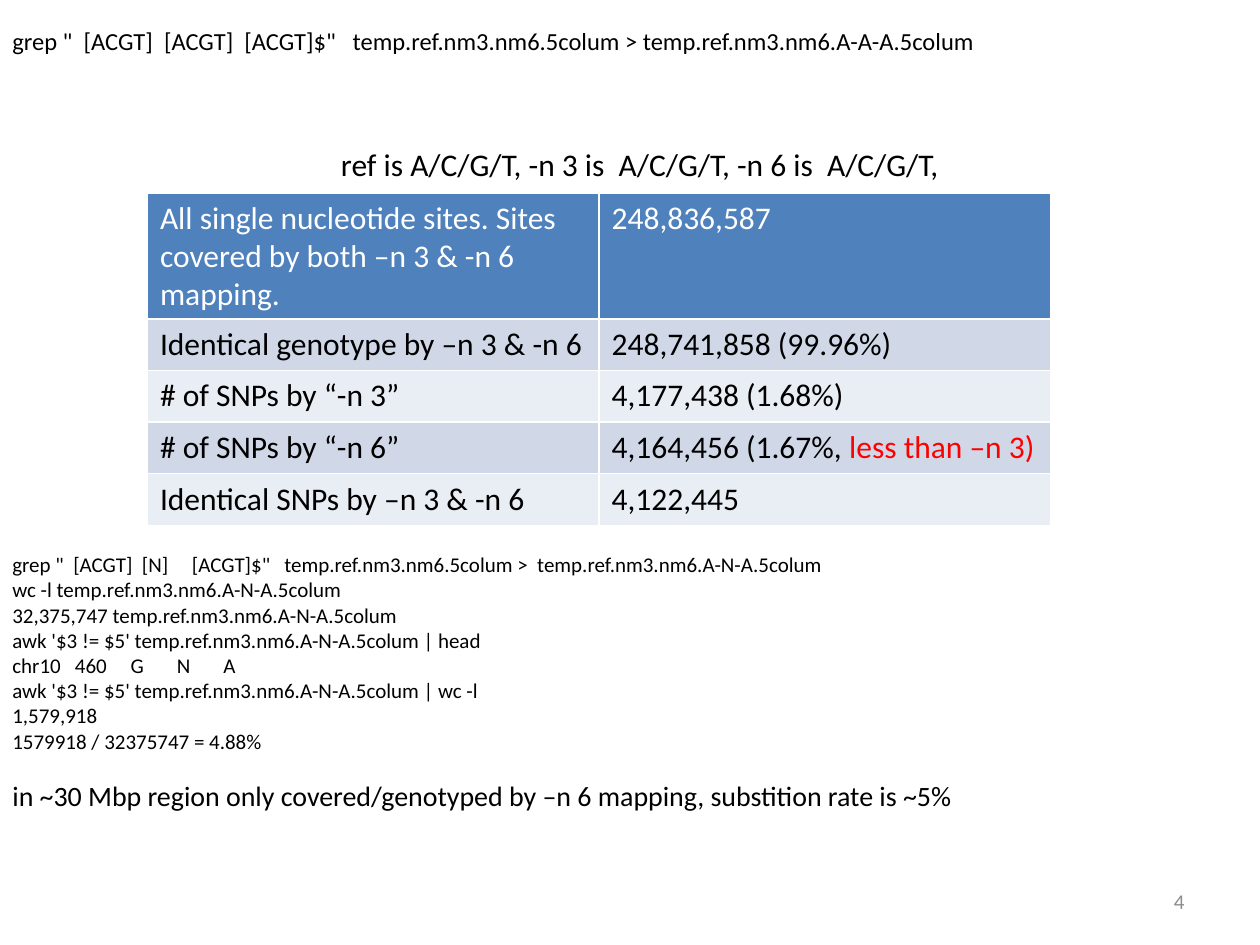
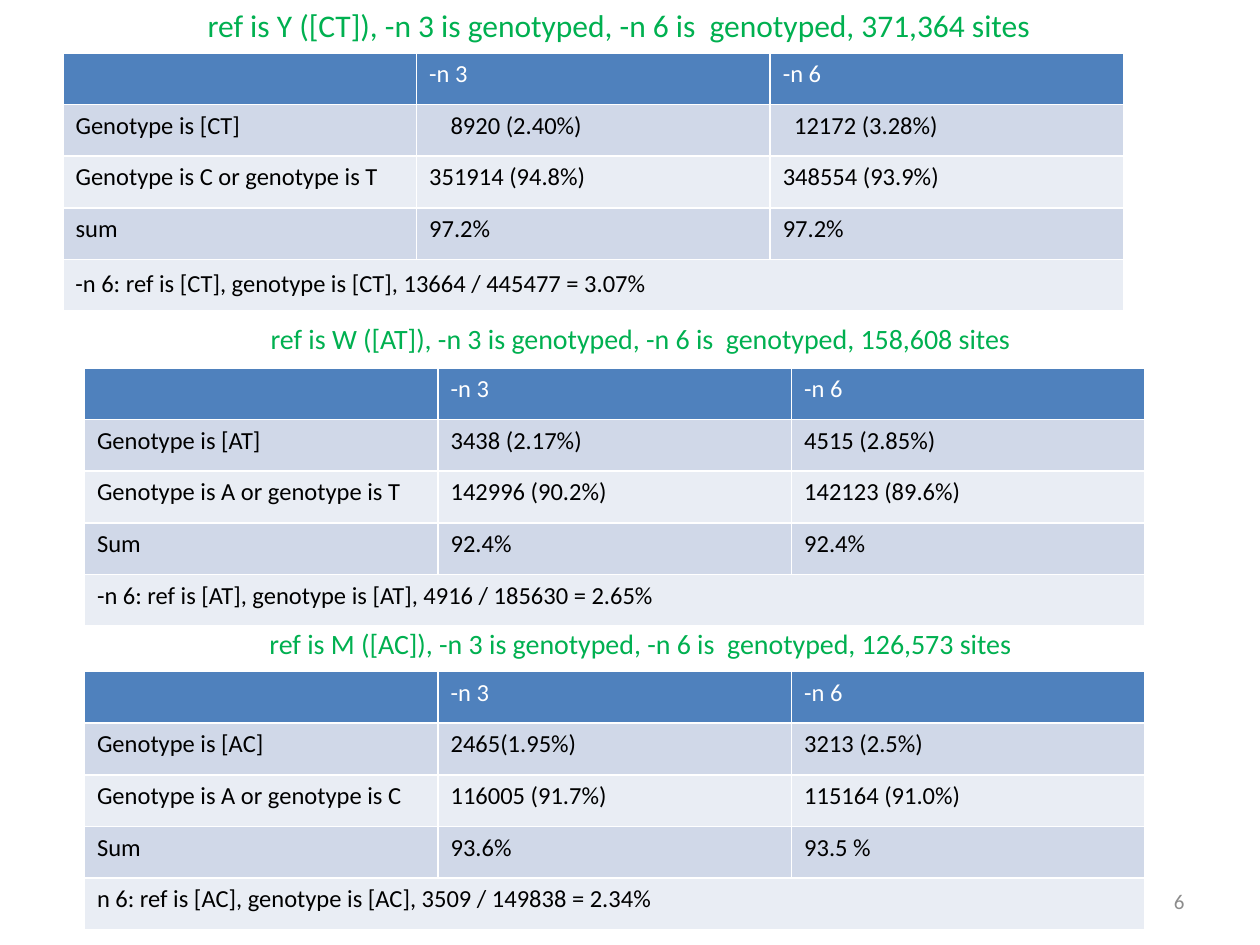
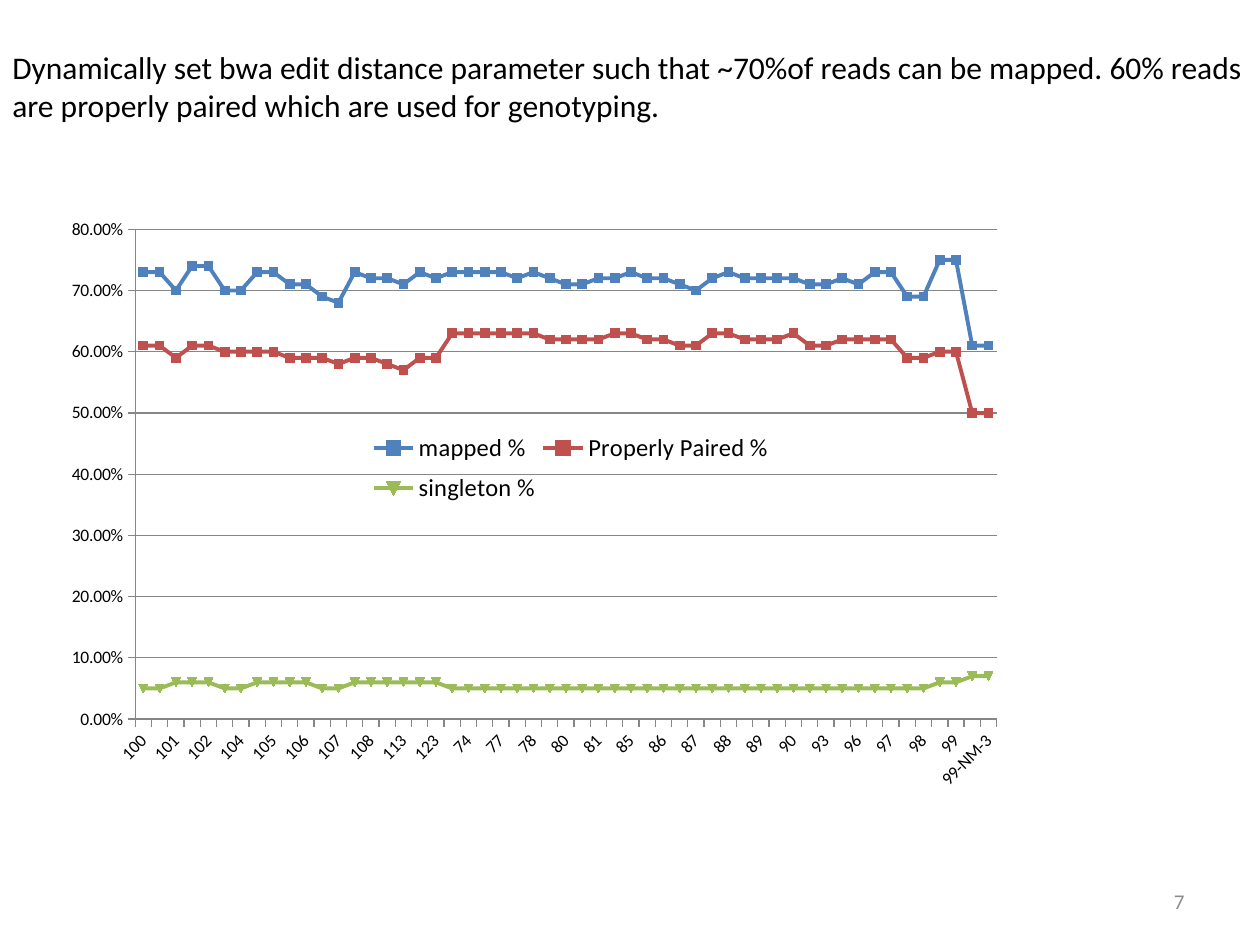
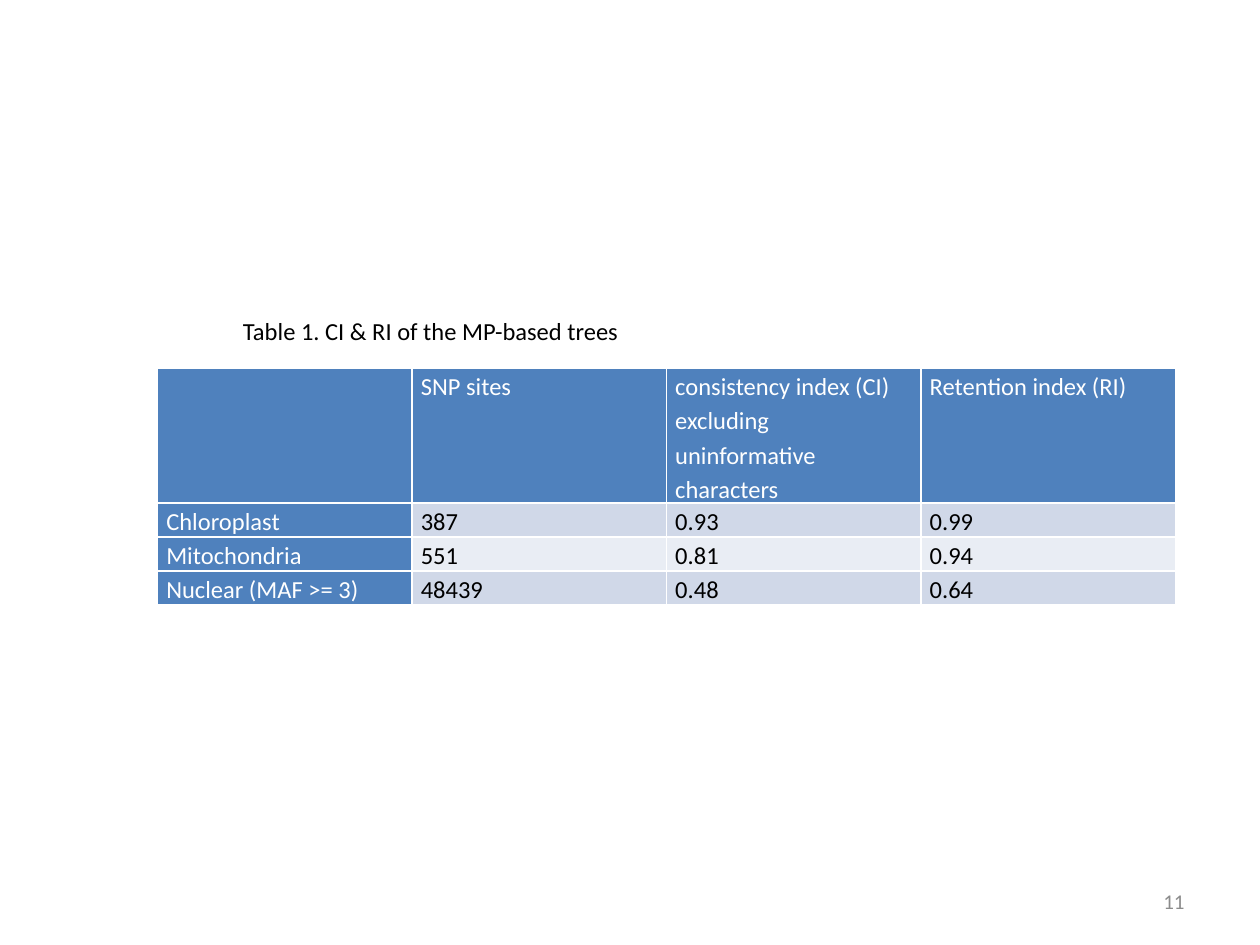
"""Build four slides on SNP genotyping: three with tables and one with a line chart."""
from lxml import etree
from pptx import Presentation
from pptx.chart.data import CategoryChartData
from pptx.dml.color import RGBColor
from pptx.enum.chart import XL_CHART_TYPE, XL_LEGEND_POSITION, XL_MARKER_STYLE, XL_TICK_MARK
from pptx.enum.text import MSO_ANCHOR, PP_ALIGN
from pptx.oxml.ns import qn
from pptx.util import Inches, Pt

BLACK = RGBColor(0, 0, 0)
WHITE = RGBColor(255, 255, 255)
RED = RGBColor(255, 0, 0)
GREEN = RGBColor(0, 0xB0, 0x50)
GRAY = RGBColor(0x8C, 0x8C, 0x8C)
AXIS_GRAY = RGBColor(0x86, 0x86, 0x86)
BLUE = RGBColor(0x4F, 0x81, 0xBD)
BRICK = RGBColor(0xC0, 0x50, 0x4D)
OLIVE = RGBColor(0x9B, 0xBB, 0x59)
BANDS = [RGBColor(0xE9, 0xED, 0xF4), RGBColor(0xD0, 0xD8, 0xE8)]
FONT = "Calibri"
LEFT, CENTER, RIGHT = PP_ALIGN.LEFT, PP_ALIGN.CENTER, PP_ALIGN.RIGHT
TOP, MIDDLE = MSO_ANCHOR.TOP, MSO_ANCHOR.MIDDLE
SQUARE, TICK_OUT = XL_MARKER_STYLE.SQUARE, XL_TICK_MARK.OUTSIDE
LINE_MARKERS, LEGEND_RIGHT = XL_CHART_TYPE.LINE_MARKERS, XL_LEGEND_POSITION.RIGHT


def add_text(page, place, lines, size, color=BLACK, align=LEFT, anchor=TOP):
    frame = page.shapes.add_textbox(*map(Inches, place)).text_frame
    frame.word_wrap = True
    frame.vertical_anchor = anchor
    for number, line in enumerate(lines):
        para = frame.add_paragraph() if number else frame.paragraphs[0]
        para.alignment = align
        span = para.add_run()
        span.text = line
        for name, value in {"name": FONT, "size": Pt(size)}.items():
            setattr(span.font, name, value)
        span.font.color.rgb = color
    return frame


def add_grid(page, left, top, width, heights, rows, size, first_column=False):
    count = len(rows[0])
    grid = page.shapes.add_table(len(rows), count, Inches(left), Inches(top),
                                 Inches(width), Inches(sum(heights))).table
    grid.first_col = first_column
    for r, row in enumerate(rows):
        grid.rows[r].height = Inches(heights[r])
        for c, text in enumerate(row):
            heading = r == 0 or (first_column and c == 0)
            cell = grid.cell(r, c)
            cell.fill.solid()
            cell.fill.fore_color.rgb = BLUE if heading else BANDS[r % 2]
            if text:
                span = cell.text_frame.paragraphs[0].add_run()
                span.text = text
                for name, value in {"name": FONT, "size": Pt(size), "bold": False}.items():
                    setattr(span.font, name, value)
                span.font.color.rgb = WHITE if heading else BLACK
    return grid


deck = Presentation()
deck.slide_width, deck.slide_height = Inches(10), Inches(7.5)
pages = []
for page_number in ("4", "6", "7", "11"):
    page = deck.slides.add_slide(deck.slide_layouts[6])
    add_text(page, (7.17, 6.95, 2.33, 0.4), [page_number], 12, GRAY, RIGHT, MIDDLE)
    pages.append(page)
sites_page, ambiguity_page, mapping_page, trees_page = pages
ROW = 0.41

add_text(sites_page, (0, 0.16, 10, 0.57), [
    'grep "  [ACGT]  [ACGT]  [ACGT]$"   temp.ref.nm3.nm6.5colum > '
    'temp.ref.nm3.nm6.A-A-A.5colum'], 14)
sites = add_grid(sites_page, 1.17, 1.53, 7.17, [0.98] + [ROW] * 4, [
    ("All single nucleotide sites. Sites covered by both –n 3 & -n 6 mapping.", "248,836,587"),
    ("Identical genotype by –n 3 & -n 6", "248,741,858 (99.96%)"),
    ("# of SNPs by “-n 3”", "4,177,438 (1.68%)"),
    ("# of SNPs by “-n 6”", "4,164,456 (1.67%, "),
    ("Identical SNPs by –n 3 & -n 6", "4,122,445"),
], 18)
remark = sites.cell(3, 1).text_frame.paragraphs[0].add_run()
remark.text = "less than –n 3)"
for name, value in {"name": FONT, "size": Pt(18)}.items():
    setattr(remark.font, name, value)
remark.font.color.rgb = RED
add_text(sites_page, (2.58, 1.1, 5, 0.4),
         ["ref is A/C/G/T, -n 3 is  A/C/G/T, -n 6 is  A/C/G/T, "], 18, align=CENTER)
commands = add_text(sites_page, (0, 4.33, 10, 2.42), [
    'grep "  [ACGT]  [N]     [ACGT]$"   temp.ref.nm3.nm6.5colum >  temp.ref.nm3.nm6.A-N-A.5colum',
    "wc -l temp.ref.nm3.nm6.A-N-A.5colum",
    "32,375,747 temp.ref.nm3.nm6.A-N-A.5colum",
    "awk '$3 != $5' temp.ref.nm3.nm6.A-N-A.5colum | head",
    "chr10   460     G       N       A",
    "awk '$3 != $5' temp.ref.nm3.nm6.A-N-A.5colum | wc -l",
    "1,579,918",
    "1579918 / 32375747 = 4.88% ",
    "in ~30 Mbp region only covered/genotyped by –n 6 mapping, substition rate is ~5%",
], 12)
conclusion = commands.paragraphs[-1]
conclusion.space_before = Pt(14.5)
conclusion.runs[0].font.size = Pt(16)

ambiguity_tables = [
    ("Y ([CT])", "371,364", 18, (0.5, 0, 0.4), 0.42, [
        ("Genotype is [CT]", "8920 (2.40%)", "12172 (3.28%)"),
        ("Genotype is C or genotype is T", "351914 (94.8%)", "348554 (93.9%)"),
        ("sum", "97.2%", "97.2%"),
        ("", "", "")]),
    ("W ([AT])", "158,608", 16, (0.67, 2.5, 0.37), 2.92, [
        ("Genotype is [AT]", "3438 (2.17%)", "4515 (2.85%)"),
        ("Genotype is A or genotype is T", "142996 (90.2%)", "142123 (89.6%)"),
        ("Sum", "92.4%", "92.4%"),
        ("-n 6: ref is [AT], genotype is [AT], 4916 / 185630 = 2.65%", "", "")]),
    ("M ([AC])", "126,573", 16, (0.67, 4.92, 0.37), 5.33, [
        ("Genotype is [AC]", "2465(1.95%)", "3213 (2.5%)"),
        ("Genotype is A or genotype is C", "116005 (91.7%)", "115164 (91.0%)"),
        ("Sum", "93.6%", "93.5 %"),
        ("n 6: ref is [AC], genotype is [AC], 3509 / 149838 = 2.34%", "", "")]),
]
ambiguity_grids = []
for code, total, size, (left, top, height), grid_top, rows in ambiguity_tables:
    add_text(ambiguity_page, (left, top, 8.83, height),
             [f"ref is {code}, -n 3 is genotyped, -n 6 is  genotyped, {total} sites"],
             size, GREEN, CENTER)
    grid = add_grid(ambiguity_page, left, grid_top, 8.42, [ROW] * 5,
                    [("", "-n 3", "-n 6")] + rows, 14)
    grid.cell(4, 0).merge(grid.cell(4, 2))
    ambiguity_grids.append(grid)
for column, margin in ((1, 0.27), (2, 0.19)):
    ambiguity_grids[0].cell(1, column).margin_left = Inches(margin)
add_text(ambiguity_page, (0.5, 2.08, 7.75, 0.34),
         ["-n 6: ref is [CT], genotype is [CT], 13664 / 445477 = 3.07%"], 14)

samples = ("100 100 101 102 102 104 104 105 105 106 106 107 107 108 108 113 113 123 123 "
           "74 74 77 77 78 78 80 80 81 81 85 85 86 86 87 87 88 88 89 89 90 90 93 93 94 "
           "96 97 97 98 98 99 99 99-NM-3 99-NM-3").split()
percentages = {
    "mapped %": "73 73 70 74 74 70 70 73 73 71 71 69 68 73 72 72 71 73 72 73 73 73 73 72 73 "
                "72 71 71 72 72 73 72 72 71 70 72 73 72 72 72 72 71 71 72 71 73 73 69 69 75 "
                "75 61 61",
    "Properly Paired %": "61 61 59 61 61 60 60 60 60 59 59 59 58 59 59 58 57 59 59 63 63 63 "
                         "63 63 63 62 62 62 62 63 63 62 62 61 61 63 63 62 62 62 63 61 61 62 "
                         "62 62 62 59 59 60 60 50 50",
    "singleton %": "5 5 6 6 6 5 5 6 6 6 6 5 5 6 6 6 6 6 6 " + "5 " * 30 + "6 6 7 7",
}
data = CategoryChartData(number_format="0.00%")
data.categories = samples
for name, values in percentages.items():
    data.add_series(name, [int(value) / 100 for value in values.split()])
chart = mapping_page.shapes.add_chart(
    LINE_MARKERS, Inches(0.04), Inches(1.58), Inches(7.95), Inches(4.8), data).chart
chart.has_title = False
chart.has_legend = True
chart.legend.position = LEGEND_RIGHT
chart.legend.include_in_layout = False
for font, size in ((chart.font, 10), (chart.legend.font, 14)):
    for name, value in {"name": FONT, "size": Pt(size)}.items():
        setattr(font, name, value)
    font.color.rgb = BLACK
chart.plots[0].vary_by_categories = False
for series, color, marker in zip(chart.plots[0].series, (BLUE, BRICK, OLIVE),
                                 (SQUARE, SQUARE, None)):
    series.smooth = False
    series.format.line.width = Pt(2.25)
    series.format.line.color.rgb = color
    series.marker.size = 5
    if marker:
        series.marker.style = marker
    series.marker.format.fill.solid()
    series.marker.format.fill.fore_color.rgb = color
    series.marker.format.line.color.rgb = color
value_axis, category_axis = chart.value_axis, chart.category_axis
for name, value in {"minimum_scale": 0, "maximum_scale": 0.8, "major_unit": 0.1,
                    "has_major_gridlines": True}.items():
    setattr(value_axis, name, value)
value_axis.tick_labels.number_format = "0.00%"
value_axis.tick_labels.number_format_is_linked = False
for axis in (value_axis, category_axis):
    axis.major_tick_mark = TICK_OUT
    axis.tick_labels.font.size = Pt(10)
for line in (value_axis.format.line, category_axis.format.line,
             value_axis.major_gridlines.format.line):
    line.width = Pt(0.75)
    line.color.rgb = AXIS_GRAY
category_axis._element.find(qn("c:txPr")).find(qn("a:bodyPr")).set("rot", "-2700000")
for tag, index, target, bounds in (("c:plotArea", 0, "inner", (0.13, 0.05, 0.86, 0.81)),
                                   ("c:legend", 1, None, (0.36, 0.37, 0.41, 0.15))):
    holder = chart._chartSpace.find(qn("c:chart")).find(qn(tag))
    for old_layout in holder.findall(qn("c:layout")):
        holder.remove(old_layout)
    layout = etree.Element(qn("c:layout"))
    manual = etree.SubElement(layout, qn("c:manualLayout"))
    settings = [("layoutTarget", target)] if target else []
    settings += [("xMode", "edge"), ("yMode", "edge")] + list(zip("xywh", bounds))
    for name, value in settings:
        etree.SubElement(manual, qn(f"c:{name}")).set("val", str(value))
    holder.insert(index, layout)
add_text(mapping_page, (0, 0.33, 10, 0.71), [
    "Dynamically set bwa edit distance parameter such that ~70%of reads can be mapped. "
    "60% reads are properly paired which are used for genotyping. "], 18)

trees = add_grid(trees_page, 1.25, 2.92, 8.08, [1.07] + [0.27] * 3, [
    ("", "SNP sites", "consistency index (CI) excluding uninformative characters",
     "Retention index (RI)"),
    ("Chloroplast", "387", "0.93", "0.99"),
    ("Mitochondria", "551", "0.81", "0.94"),
    ("Nuclear (MAF >= 3)", "48439 ", "0.48", "0.64"),
], 14, first_column=True)
for cell in trees.iter_cells():
    for side, margin in {"left": 0.07, "top": 0, "right": 0.07, "bottom": 0}.items():
        setattr(cell, f"margin_{side}", Inches(margin))
    cell.text_frame.paragraphs[0].line_spacing = 1.15
add_text(trees_page, (1.83, 2.46, 3.21, 0.57), ["Table 1. CI & RI of the MP-based trees"], 14)

deck.save("out.pptx")
